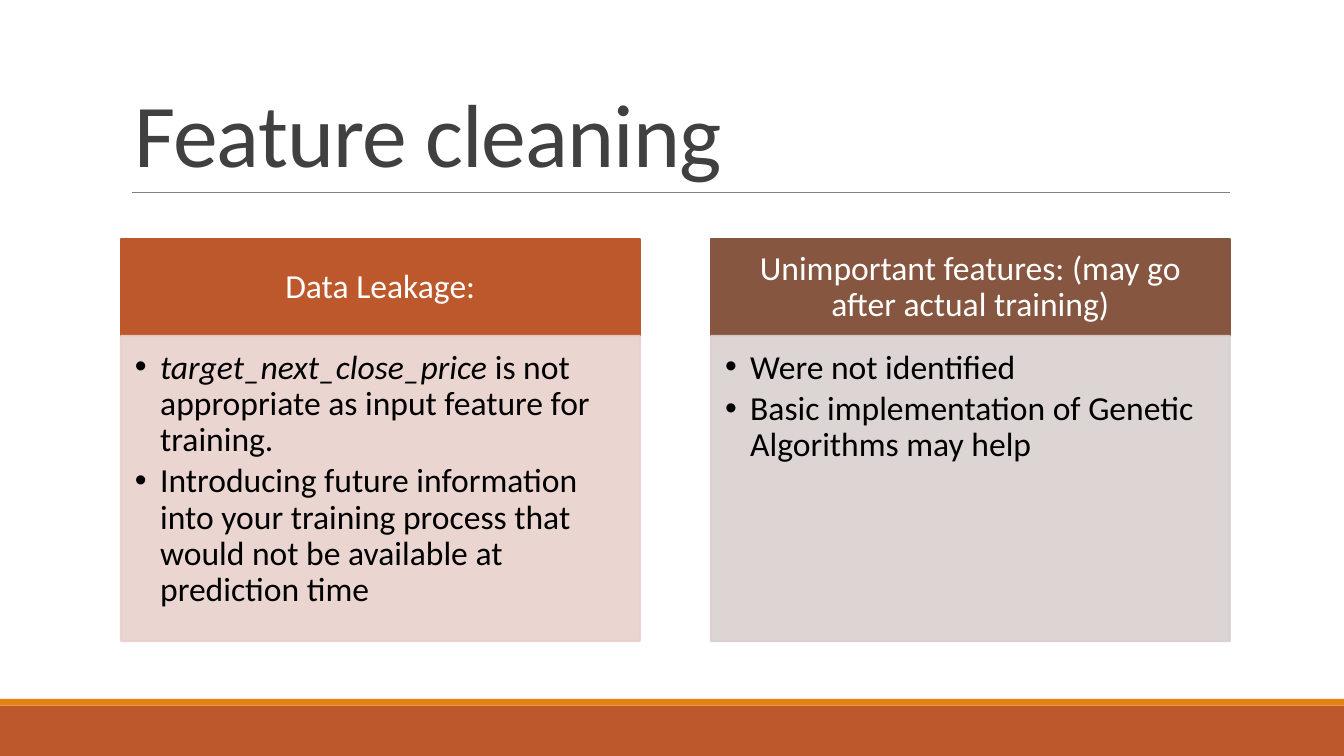
from lxml.etree import SubElement
from pptx import Presentation
from pptx.dml.color import RGBColor
from pptx.enum.shapes import MSO_CONNECTOR, MSO_SHAPE
from pptx.enum.text import MSO_ANCHOR, MSO_AUTO_SIZE, PP_ALIGN
from pptx.oxml.ns import qn
from pptx.util import Pt

COLORS = {
    "title": "404040", "rule": "808080", "stripe": "E48312", "rust": "BD582C",
    "pink": "E8D1CD", "brown": "865640", "gray": "D9D1CF",
    "white": "FFFFFF", "black": "000000",
}
FONT = "Calibri"
COMPARISON_LAYOUT = 4
HEADER_HEIGHT = 51.84

COLUMNS = [
    ("Data Leakage:", "rust", "pink", [
        [("target_next_close_price ", True),
         ("is not appropriate as input feature for training.", False)],
        [("Introducing future information into your training process that "
          "would not be available at prediction time", False)],
    ]),
    ("Unimportant features: (may go after actual training)", "brown", "gray", [
        [("Were not identified", False)],
        [("Basic implementation of Genetic Algorithms may help", False)],
    ]),
]


def rgb(name):
    return RGBColor.from_string(COLORS[name])


def place(shape, box):
    shape.left, shape.top, shape.width, shape.height = map(Pt, box)


def set_frame(shape, anchor, insets):
    frame = shape.text_frame
    frame.word_wrap = True
    frame.auto_size = MSO_AUTO_SIZE.NONE
    frame.vertical_anchor = anchor
    (frame.margin_left, frame.margin_top,
     frame.margin_right, frame.margin_bottom) = map(Pt, insets)
    return frame


def set_spacing(para, align, line, after):
    para.alignment = align
    para.line_spacing = line
    para.space_before = Pt(0)
    para.space_after = Pt(after)


def add_span(para, text, size, color, italic=False):
    span = para.add_run()
    span.text = text
    span.font.name = FONT
    span.font.size = Pt(size)
    span.font.bold = False
    span.font.italic = italic
    span.font.color.rgb = rgb(color)
    return span


def paint(shape, color, opacity=100):
    shape.fill.solid()
    shape.fill.fore_color.rgb = rgb(color)
    shape.line.color.rgb = rgb(color)
    shape.line.width = Pt(1.25)
    if opacity < 100:
        for tint in shape.element.spPr.iter(qn("a:srgbClr")):
            SubElement(tint, qn("a:alpha"), val=str(opacity * 1000))


def add_bullet(para, indent):
    props = para._p.get_or_add_pPr()
    props.set("marL", str(Pt(indent)))
    props.set("indent", str(-Pt(indent)))
    SubElement(props, qn("a:buFont"), typeface="Arial")
    SubElement(props, qn("a:buChar"), char="•")


def add_footer(page, box):
    left, top, width, height = box
    stripe_height = 3.6
    bands = [
        ("rust", top + stripe_height, height - stripe_height),
        ("stripe", top, stripe_height),
    ]
    for color, band_top, band_height in bands:
        band = page.shapes.add_shape(
            MSO_SHAPE.RECTANGLE, Pt(left), Pt(band_top), Pt(width), Pt(band_height))
        band.shadow.inherit = False
        band.fill.solid()
        band.fill.fore_color.rgb = rgb(color)
        band.line.fill.background()


def add_title(page, box, text):
    left, top, width, height = box
    title = page.shapes.title
    place(title, box)
    frame = set_frame(title, MSO_ANCHOR.BOTTOM, (7.2, 3.6, 7.2, 3.6))
    para = frame.paragraphs[0]
    set_spacing(para, PP_ALIGN.LEFT, 0.85, 0)
    span = add_span(para, text, 48, "title")
    span.font._element.set("spc", "-50")

    bottom = Pt(top + height)
    rule = page.shapes.add_connector(
        MSO_CONNECTOR.STRAIGHT, Pt(left + 5.8), bottom, Pt(left + width), bottom)
    rule.line.color.rgb = rgb("rule")
    rule.line.width = Pt(0.5)
    SubElement(rule._element.spPr, qn("a:effectLst"))


def add_column(header, body, box, column):
    heading, header_color, body_color, items = column
    left, top, width, height = box

    place(header, (left, top, width, HEADER_HEIGHT))
    paint(header, header_color)
    frame = set_frame(header, MSO_ANCHOR.MIDDLE, (10, 5.76, 10, 5.76))
    para = frame.paragraphs[0]
    set_spacing(para, PP_ALIGN.CENTER, 0.9, 0)
    add_span(para, heading, 18, "white")

    place(body, (left, top + HEADER_HEIGHT, width, height - HEADER_HEIGHT))
    paint(body, body_color, opacity=90)
    frame = set_frame(body, MSO_ANCHOR.TOP, (7.5, 7.5, 10, 11.25))
    for index, item in enumerate(items):
        para = frame.add_paragraph() if index else frame.paragraphs[0]
        add_bullet(para, 13.5)
        set_spacing(para, PP_ALIGN.LEFT, 0.9, 2.7)
        for text, italic in item:
            add_span(para, text, 18, "black", italic)


def add_comparison(page, box):
    left, top, width, height = box
    column_width = 277.92
    step = width - column_width
    holders = list(page.placeholders)[1:]
    for index, column in enumerate(COLUMNS):
        header, body = holders[2 * index:2 * index + 2]
        add_column(header, body, (left + index * step, top, column_width, height), column)


def main():
    deck = Presentation()
    deck.slide_width, deck.slide_height = Pt(720), Pt(405)
    page = deck.slides.add_slide(deck.slide_layouts[COMPARISON_LAYOUT])
    add_footer(page, (0, 374.4, 720, 30.6))
    add_title(page, (64.8, 17.28, 594, 85.68), "Feature cleaning")
    add_comparison(page, (64.8, 128.16, 594, 215.28))
    deck.save("out.pptx")


if __name__ == "__main__":
    main()
